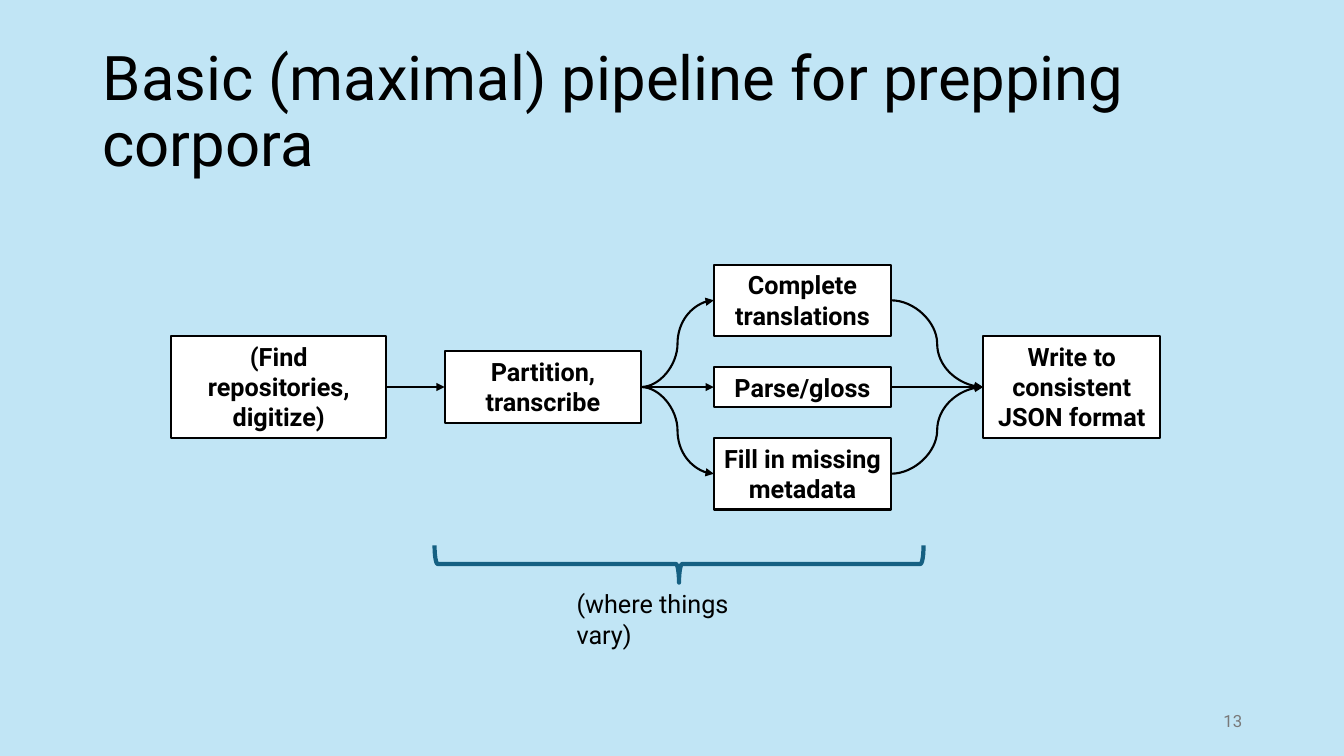
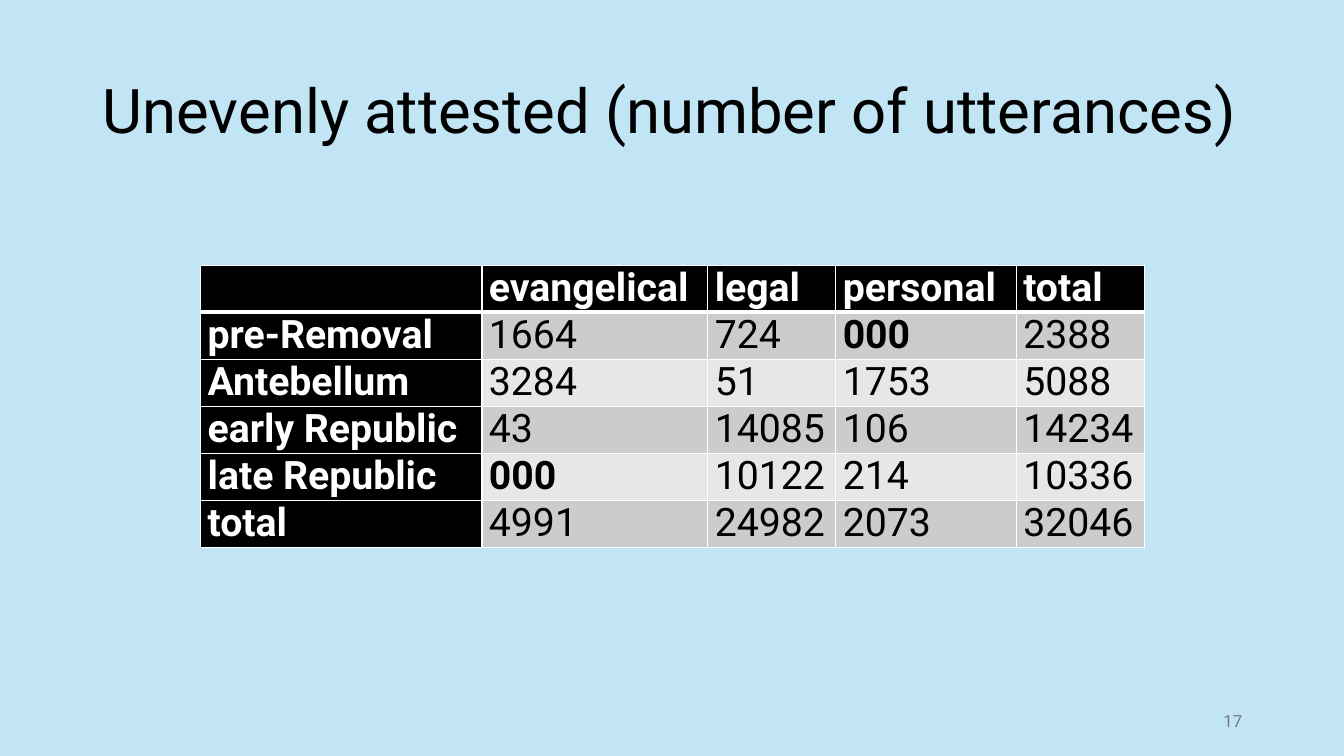
from lxml import etree
from pptx import Presentation
from pptx.dml.color import RGBColor
from pptx.enum import shapes, text
from pptx.oxml import ns
from pptx.util import Inches, Pt

FONT = "Roboto"
SKY, BLACK, WHITE = "C1E5F5", "000000", "FFFFFF"
GREY, TEAL = "797979", "156082"
BANDS = ("CCCCCC", "E7E7E7")
TITLE_BOX = (0.92, 0.4, 11.5, 1.45)
NUMBER_BOX = (9.42, 6.95, 3, 0.4)
LEFT_SITE, RIGHT_SITE = 1, 3  # connection sites of a rectangle


def rgb(value):
    return RGBColor.from_string(value)


def set_all(target, values):
    for name, value in values.items():
        setattr(target, name, value)


def inches(box):
    return [Inches(v) for v in box]


def write(tf, words, size, color=BLACK, bold=False, para=None, frame=None):
    """Put one paragraph of text in a frame, with its formats."""
    set_all(tf, {"word_wrap": True, **(frame or {})})
    p = tf.paragraphs[0]
    set_all(p, para or {})
    r = p.add_run()
    r.text = words
    set_all(r.font, {"name": FONT, "size": Pt(size), "bold": bold})
    r.font.color.rgb = rgb(color)


def add_text(s, box, words, size, **formats):
    write(s.shapes.add_textbox(*inches(box)).text_frame, words, size, **formats)


def add_slide(prs, title, number):
    """Blank slide with the shared background, title and number."""
    s = prs.slides.add_slide(prs.slide_layouts[6])
    s.background.fill.solid()
    s.background.fill.fore_color.rgb = rgb(SKY)
    middle = {"vertical_anchor": text.MSO_ANCHOR.MIDDLE}
    add_text(s, TITLE_BOX, title, 44, para={"line_spacing": 0.9}, frame=middle)
    add_text(s, NUMBER_BOX, number, 12, color=GREY,
             para={"alignment": text.PP_ALIGN.RIGHT}, frame=middle)
    return s


# Pipeline parts

def add_step(s, left, middle, width, height, words):
    """White box centred on the height given as middle."""
    sp = s.shapes.add_shape(shapes.MSO_SHAPE.RECTANGLE,
                            *inches((left, middle - height / 2, width, height)))
    sp.shadow.inherit = False
    sp.fill.solid()
    sp.fill.fore_color.rgb = rgb(WHITE)
    sp.line.color.rgb = rgb(BLACK)
    sp.line.width = Pt(1.5)
    write(sp.text_frame, words, 18, bold=True,
          para={"alignment": text.PP_ALIGN.CENTER},
          frame={"vertical_anchor": text.MSO_ANCHOR.TOP,
                 "auto_size": text.MSO_AUTO_SIZE.SHAPE_TO_FIT_TEXT,
                 "margin_left": Inches(0.08), "margin_right": Inches(0.08)})
    return sp


def add_arrow(s, start, end, kind=shapes.MSO_CONNECTOR.STRAIGHT):
    """Arrow from the right side of one step to the left side of another."""
    arrow = s.shapes.add_connector(kind, 0, 0, 0, 0)
    arrow.begin_connect(start, RIGHT_SITE)
    arrow.end_connect(end, LEFT_SITE)
    arrow.line.color.rgb = rgb(BLACK)
    arrow.line.width = Pt(1.5)
    etree.SubElement(arrow.line._get_or_add_ln(), ns.qn("a:tailEnd"),
                     type="triangle")
    etree.SubElement(arrow._element.spPr, ns.qn("a:effectLst"))


def add_pipeline(s, left, middle):
    find = add_step(s, left, middle, 2.13, 1.01, "(Find repositories, digitize)")
    split = add_step(s, left + 2.71, middle, 1.95, 0.71, "Partition, transcribe")
    final = add_step(s, left + 8.05, middle, 1.76, 1.01,
                     "Write to consistent JSON format")
    add_arrow(s, find, split)

    # Parallel tasks: outer ones are joined by curves
    curve, straight = shapes.MSO_CONNECTOR.CURVE, shapes.MSO_CONNECTOR.STRAIGHT
    for offset, height, kind, words in (
            (-0.86, 0.71, curve, "Complete translations"),
            (0, 0.4, straight, "Parse/gloss"),
            (0.86, 0.71, curve, "Fill in missing metadata")):
        task = add_step(s, left + 5.38, middle + offset, 1.76, height, words)
        add_arrow(s, split, task, kind)
        add_arrow(s, task, final, kind)


def add_braced_note(s, left, top, width, depth, words):
    """Downward brace over a note; the brace is turned about its centre."""
    brace = s.shapes.add_shape(
        shapes.MSO_SHAPE.LEFT_BRACE,
        *inches((left + (width - depth) / 2, top + (depth - width) / 2,
                 depth, width)))
    brace.rotation = 270
    brace.shadow.inherit = False
    brace.fill.background()
    brace.line.color.rgb = rgb(TEAL)
    brace.line.width = Pt(3)
    note_width = 2.23
    add_text(s, (left + (width - note_width) / 2, top + depth + 0.01,
                 note_width, 0.7), words, 18)


# Table parts

def set_borders(cell, widths):
    """White cell borders; widths maps a side (L, R, T, B) to points."""
    tc_pr = cell._tc.get_or_add_tcPr()
    for side, width in widths.items():
        ln = etree.SubElement(tc_pr, ns.qn("a:ln" + side), w=str(Pt(width)))
        fill = etree.SubElement(ln, ns.qn("a:solidFill"))
        etree.SubElement(fill, ns.qn("a:srgbClr"), val=WHITE)


def add_counts(s, left, top, widths, row_height, rows):
    table = s.shapes.add_table(
        len(rows), len(widths),
        *inches((left, top, sum(widths), row_height * len(rows)))).table
    for column, width in zip(table.columns, widths):
        column.width = Inches(width)
    for i, row in enumerate(rows):
        table.rows[i].height = Inches(row_height)
        for j, words in enumerate(row):
            cell = table.cell(i, j)
            heading = i == 0 or j == 0
            set_all(cell, {"margin_left": Inches(0.07), "margin_top": 0,
                           "margin_right": Inches(0.07), "margin_bottom": 0})
            set_borders(cell, {"L": 1, "R": 1, "T": 3 if i == 1 else 1,
                               "B": 3 if i == 0 else 1})
            cell.fill.solid()
            cell.fill.fore_color.rgb = rgb(BLACK if heading
                                           else BANDS[(i - 1) % 2])
            if words:
                write(cell.text_frame, words, 28,
                      color=WHITE if heading else BLACK,
                      bold=heading or words == "000")


def pipeline_slide(prs):
    s = add_slide(prs, "Basic (maximal) pipeline for prepping corpora", "13")
    add_pipeline(s, 1.7, 3.84)
    add_braced_note(s, 4.31, 5.41, 4.85, 0.37, "(where things vary)")


def counts_slide(prs):
    s = add_slide(prs, "Unevenly attested (number of utterances)", "17")
    add_counts(s, 1.99, 2.63, (2.79, 2.24, 1.27, 1.79, 1.27), 0.45, (
        ("", "evangelical", "legal", "personal", "total"),
        ("pre-Removal", "1664", "724", "000", "2388"),
        ("Antebellum", "3284", "51", "1753", "5088"),
        ("early Republic", "43", "14085", "106", "14234"),
        ("late Republic", "000", "10122", "214", "10336"),
        ("total", "4991", "24982", "2073", "32046")))


def main():
    prs = Presentation()
    set_all(prs, {"slide_width": Inches(13.33), "slide_height": Inches(7.5)})
    pipeline_slide(prs)
    counts_slide(prs)
    prs.save("out.pptx")


if __name__ == "__main__":
    main()
